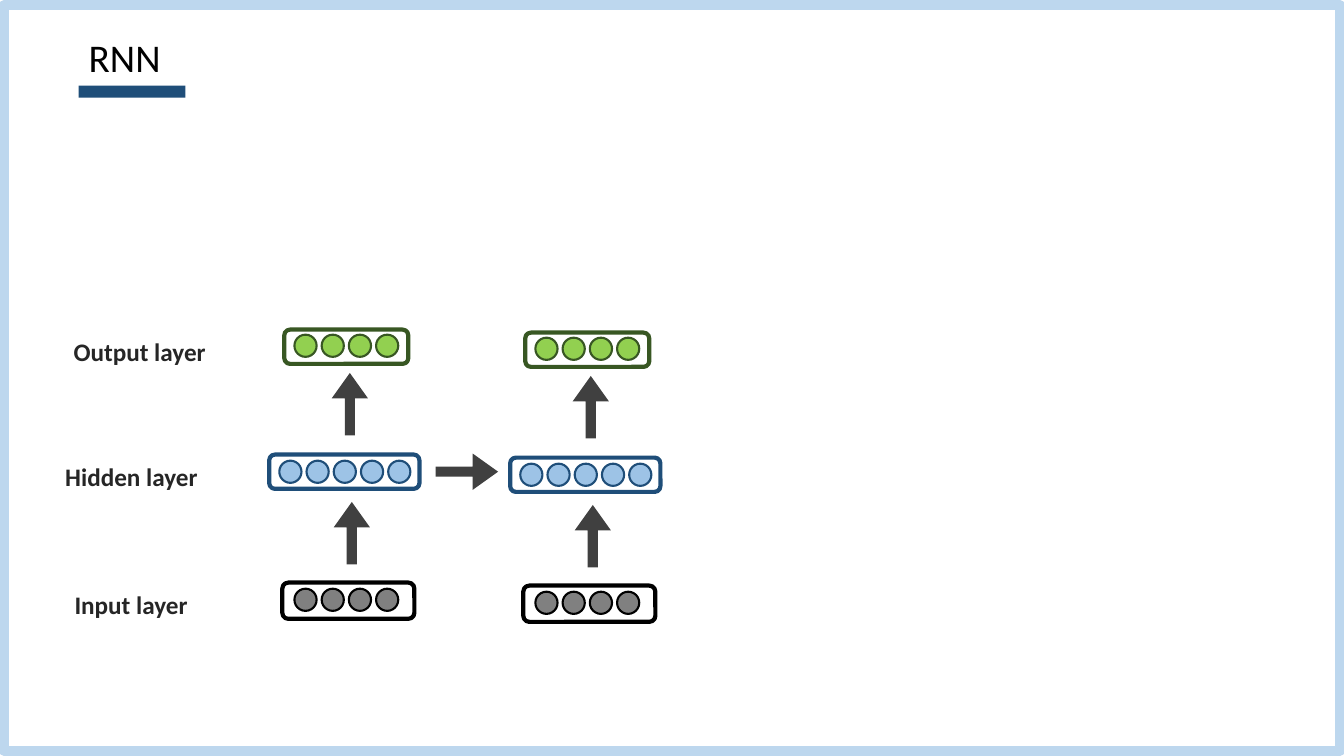
from pptx import Presentation
from pptx import util as u
from pptx.dml.color import RGBColor
from pptx.enum import shapes, text

EMU_PER_PX = 9144  # 100 px to the inch
SHAPE = shapes.MSO_SHAPE
BLACK, WHITE, NAVY, GREEN = "000000", "FFFFFF", "1F4E79", "385723"


def px(length):
    return u.Emu(length * EMU_PER_PX)


def rgb(code):
    return RGBColor.from_string(code)


class Diagram:
    font = "Calibri"
    label_color = "262626"
    arrow_color = "404040"
    unit_size = 22

    def __init__(self, deck):
        self.slide = deck.slides.add_slide(deck.slide_layouts[5])

    def shape(self, kind, x, y, w, h, fill=None, line=None, weight=0):
        item = self.slide.shapes.add_shape(kind, px(x), px(y), px(w), px(h))
        item.shadow.inherit = False
        if fill:
            item.fill.solid()
            item.fill.fore_color.rgb = rgb(fill)
        else:
            item.fill.background()
        if line:
            item.line.color.rgb = rgb(line)
            item.line.width = u.Pt(weight)
        else:
            item.line.fill.background()
        return item

    def style(self, paragraph, size, color, bold, spacing, align):
        paragraph.line_spacing = spacing
        paragraph.alignment = align
        font = paragraph.runs[0].font
        font.name, font.size, font.bold = self.font, u.Pt(size), bold
        font.color.rgb = rgb(color)

    def title(self, words, x, y, w, h):
        heading = self.slide.shapes.title
        heading.left, heading.top, heading.width, heading.height = map(px, (x, y, w, h))
        frame = heading.text_frame
        frame.text = words
        frame.vertical_anchor = text.MSO_ANCHOR.MIDDLE
        self.style(frame.paragraphs[0], 28, BLACK, False, 0.9, text.PP_ALIGN.LEFT)
        # Bring the title in front of the page frame
        self.slide.shapes._spTree.append(heading._element)

    def label(self, words, x, y, w, h):
        frame = self.slide.shapes.add_textbox(px(x), px(y), px(w), px(h)).text_frame
        frame.word_wrap = True
        frame.text = words
        self.style(frame.paragraphs[0], 18, self.label_color, True, 1.2, text.PP_ALIGN.RIGHT)

    def arrow(self, x, y, rotation=0):
        item = self.shape(SHAPE.RIGHT_ARROW, x, y, 62, 36, self.arrow_color)
        item.adjustments[0], item.adjustments[1] = 0.28, 0.7
        item.rotation = rotation

    def layer(self, box, unit_xs, unit_y, fill, line):
        self.shape(SHAPE.ROUNDED_RECTANGLE, *box, line=line, weight=3)
        for x in unit_xs:
            self.shape(SHAPE.OVAL, x, unit_y, self.unit_size, self.unit_size, fill, line, 1.5)


def main():
    deck = Presentation()
    deck.slide_width, deck.slide_height = px(1333), px(750)
    rnn = Diagram(deck)

    # Page frame and title
    rnn.shape(SHAPE.RECTANGLE, 4, 5, 1325, 740, WHITE, "BDD7EE", 7)
    rnn.title("RNN", 78, 29, 138, 60)
    rnn.shape(SHAPE.RECTANGLE, 78, 85, 106, 12, NAVY)

    # Layer names
    rnn.label("Input layer", 29, 574, 167, 52)
    rnn.label("Hidden layer", 16, 447, 190, 52)
    rnn.label("Output layer", 26, 323, 188, 52)

    # Layers: box x, y, w, h; first unit x, y; unit count; fill; line
    layers = [
        (280, 578, 131, 36, 292, 584, 4, "808080", BLACK),
        (267, 451, 149, 34, 277, 457, 5, "9DC3E6", NAVY),
        (282, 327, 123, 34, 292, 332, 4, "92D050", GREEN),
    ]
    unit_pitch = 27

    # Two time steps, the second shifted right and slightly down
    for dx, dy in ((0, 0), (239, 3)):
        for x, y, w, h, unit_x, unit_y, count, fill, line in layers:
            unit_xs = [unit_x + dx + i * unit_pitch for i in range(count)]
            rnn.layer((x + dx, y + dy, w, h), unit_xs, unit_y + dy, fill, line)
        for x, y in ((318, 511), (316, 383)):
            rnn.arrow(x + dx, y + dy, 270)

    # Hidden state passed to the next step
    rnn.arrow(432, 450)

    deck.save("out.pptx")


if __name__ == "__main__":
    main()
